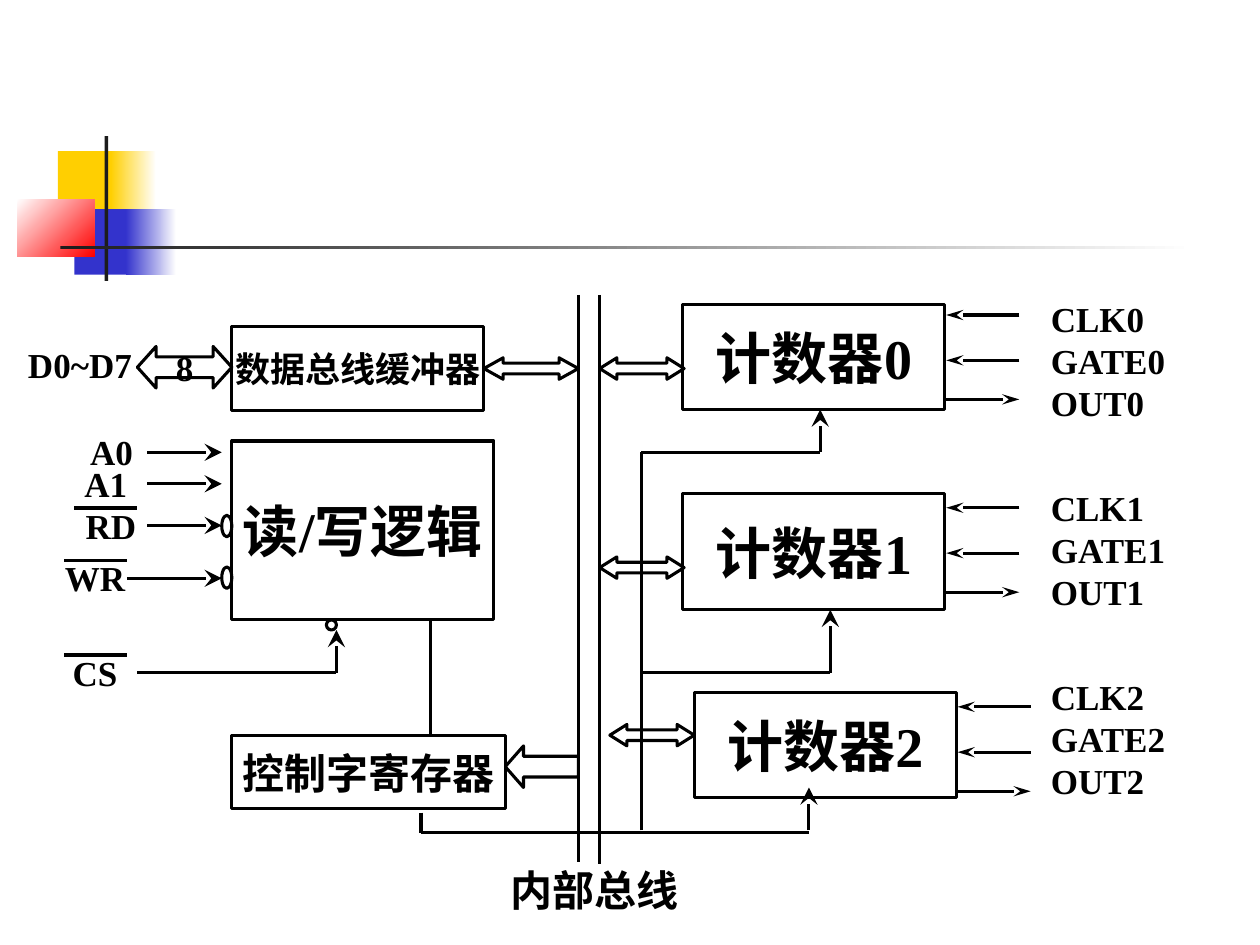
from typing import NamedTuple

import lxml.etree
import pptx
import pptx.dml.color
import pptx.enum.shapes
import pptx.enum.text
import pptx.oxml.ns
import pptx.util

Inches = pptx.util.Inches
Pt = pptx.util.Pt
MSO_SHAPE = pptx.enum.shapes.MSO_SHAPE
PP_ALIGN = pptx.enum.text.PP_ALIGN
qn = pptx.oxml.ns.qn

FONT = "Times New Roman"
INK = "000000"
LINE = 1.75


class Deco(NamedTuple):
    left: float
    top: float
    width: float
    height: float
    colors: tuple[str, ...]
    angle: float = 0


class Block(NamedTuple):
    left: float
    top: float
    width: float
    height: float
    text: str
    size: float


class Arrow(NamedTuple):
    left: float
    top: float
    width: float
    height: float
    head: float
    kind: MSO_SHAPE = MSO_SHAPE.LEFT_RIGHT_ARROW
    text: str = ""


class Label(NamedTuple):
    left: float
    top: float
    width: float
    text: str
    size: float = 20
    align: PP_ALIGN = PP_ALIGN.CENTER


class Wire(NamedTuple):
    x1: float
    y1: float
    x2: float
    y2: float
    tip: str = ""  # width of the arrowhead at the end point
    weight: float = LINE


class Counter(NamedTuple):
    left: float
    top: float
    height: float
    label_top: float
    pins: tuple[float, float, float]


def rgb(color: str) -> pptx.dml.color.RGBColor:
    return pptx.dml.color.RGBColor.from_string(color)


def add_deco(s, d: Deco) -> None:
    sp = s.shapes.add_shape(MSO_SHAPE.RECTANGLE, *map(Inches, d[:4]))
    sp.shadow.inherit = False
    sp.line.fill.background()
    if len(d.colors) == 1:
        sp.fill.solid()
        sp.fill.fore_color.rgb = rgb(d.colors[0])
        return
    sp.fill.gradient()
    sp.fill.gradient_angle = d.angle
    for stop, color in zip(sp.fill.gradient_stops, d.colors):
        stop.color.rgb = rgb(color)


def write(sp, text: str, size: float, align: PP_ALIGN) -> None:
    tf = sp.text_frame
    tf.margin_left = tf.margin_right = tf.margin_top = tf.margin_bottom = 0
    p = tf.paragraphs[0]
    p.alignment = align
    r = p.add_run()
    r.text = text
    r.font.name = FONT
    r.font.size = Pt(size)
    r.font.bold = True
    r.font.color.rgb = rgb(INK)


def add_outline(s, kind: MSO_SHAPE, left: float, top: float, width: float,
                height: float, text: str = "", size: float = 20):
    sp = s.shapes.add_shape(kind, *map(Inches, (left, top, width, height)))
    sp.shadow.inherit = False
    sp.fill.background()
    sp.line.color.rgb = rgb(INK)
    sp.line.width = Pt(LINE)
    if text:
        write(sp, text, size, PP_ALIGN.CENTER)
        sp.text_frame.word_wrap = False
        sp.text_frame.vertical_anchor = pptx.enum.text.MSO_ANCHOR.MIDDLE
    return sp


def add_block(s, b: Block) -> None:
    add_outline(s, MSO_SHAPE.RECTANGLE, *b)


def add_arrow(s, a: Arrow) -> None:
    sp = add_outline(s, a.kind, a.left, a.top, a.width, a.height, a.text)
    sp.adjustments[0] = 0.5
    sp.adjustments[1] = a.head


def add_label(s, lb: Label) -> None:
    height = lb.size / 60
    sp = s.shapes.add_textbox(*map(Inches, (lb.left, lb.top, lb.width, height)))
    write(sp, lb.text, lb.size, lb.align)
    sp.text_frame.word_wrap = True
    sp.text_frame.auto_size = pptx.enum.text.MSO_AUTO_SIZE.SHAPE_TO_FIT_TEXT


def add_wire(s, w: Wire) -> None:
    cn = s.shapes.add_connector(pptx.enum.shapes.MSO_CONNECTOR.STRAIGHT,
                                *map(Inches, w[:4]))
    cn.line.color.rgb = rgb(INK)
    cn.line.width = Pt(w.weight)
    if w.tip:
        lxml.etree.SubElement(cn.line._get_or_add_ln(), qn("a:tailEnd"),
                              type="stealth", w=w.tip, len="lg")
    lxml.etree.SubElement(cn._element.spPr, qn("a:effectLst"))


def add_counter(s, number: int, c: Counter) -> None:
    width = 2.08
    add_block(s, Block(c.left, c.top, width, c.height, f"计数器{number}", 32))
    near, far = c.left + width + 0.01, c.left + width + 0.59
    for i, (name, y) in enumerate(zip(("CLK", "GATE", "OUT"), c.pins)):
        add_label(s, Label(8.34, c.label_top + i * 0.335, 1.17,
                           f"{name}{number}", align=PP_ALIGN.LEFT))
        start, end = (near, far) if name == "OUT" else (far, near)
        add_wire(s, Wire(start, y, end, y, "med"))


DECOS = [
    Deco(0.46, 1.2, 0.48, 0.52, ("FFCF01",)),
    Deco(0.88, 1.2, 0.36, 0.52, ("FFCF01", "FFFFFF")),
    Deco(0.59, 1.66, 0.46, 0.52, ("3333CC",)),
    Deco(1, 1.66, 0.4, 0.52, ("3333CC", "FFFFFF")),
    Deco(0.14, 1.58, 0.61, 0.46, ("FFFFFF", "FF0000"), 315),
    Deco(0.83, 1.08, 0.03, 1.15, ("1C1C1C",)),
    Deco(0.48, 1.95, 9, 0.03, ("1C1C1C", "FFFFFF")),
]
BLOCKS = [
    Block(1.84, 2.59, 2, 0.67, "数据总线缓冲器", 20),
    Block(1.84, 3.5, 2.08, 1.42, "读/写逻辑", 32),
    Block(1.84, 5.84, 2.17, 0.58, "控制字寄存器", 24),
]
ARROWS = [
    Arrow(1.09, 2.75, 0.75, 0.33, 0.45, text="8"),
    Arrow(3.84, 2.84, 0.75, 0.17, 0.9),
    Arrow(4.01, 5.92, 0.58, 0.33, 0.44, MSO_SHAPE.LEFT_ARROW),
    Arrow(4.76, 2.84, 0.67, 0.17, 0.8),
    Arrow(4.76, 4.42, 0.67, 0.17, 0.8),
    Arrow(4.84, 5.75, 0.67, 0.17, 0.8),
]
LABELS = [
    Label(0.22, 2.73, 0.83, "D0~D7"),
    Label(0.51, 3.42, 0.75, "A0"),
    Label(0.59, 3.67, 0.5, "A1"),
    Label(0.59, 4, 0.58, "RD"),
    Label(0.34, 4.42, 0.83, "WR"),
    Label(0.34, 5.17, 0.83, "CS"),
    Label(4.01, 6.86, 1.42, "内部总线", 24),
]
WIRES = [
    # Internal bus
    Wire(4.59, 2.34, 4.59, 6.84), Wire(4.76, 2.34, 4.76, 6.86),
    # Control word to the counters
    Wire(3.42, 4.92, 3.42, 5.84), Wire(3.34, 6.45, 3.34, 6.61, weight=2),
    Wire(3.34, 6.61, 6.42, 6.61), Wire(6.42, 6.59, 6.42, 6.25, "lg"),
    Wire(5.09, 6.59, 5.09, 3.59),
    Wire(5.09, 3.59, 6.51, 3.59), Wire(6.51, 3.59, 6.51, 3.25, "lg"),
    Wire(5.09, 5.34, 6.59, 5.34), Wire(6.59, 5.34, 6.59, 4.84, "lg"),
    # Read/write inputs
    Wire(1.17, 3.59, 1.76, 3.59, "lg"), Wire(1.17, 3.84, 1.76, 3.84, "lg"),
    Wire(1.17, 4.17, 1.76, 4.17, "lg"), Wire(1.01, 4.59, 1.76, 4.59, "lg"),
    Wire(1.09, 5.34, 2.67, 5.34), Wire(2.67, 5.34, 2.67, 5, "lg"),
]
# Bars over the active-low names, and the inversion circles
OVERBARS = [(0.59, 4.03), (0.51, 4.45), (0.51, 5.2)]
CIRCLES = [(1.76, 4.09, 0.08, 0.17), (1.76, 4.5, 0.08, 0.17), (2.59, 4.92, 0.08, 0.08)]
COUNTERS = [
    Counter(5.42, 2.42, 0.83, 2.36, (2.5, 2.86, 3.17)),
    Counter(5.42, 3.92, 0.92, 3.86, (4.03, 4.39, 4.7)),
    Counter(5.51, 5.5, 0.83, 5.36, (5.61, 5.97, 6.28)),
]


def main() -> None:
    prs = pptx.Presentation()
    prs.slide_width, prs.slide_height = Inches(10), Inches(7.5)
    s = prs.slides.add_slide(prs.slide_layouts[6])
    for draw, items in ((add_deco, DECOS), (add_block, BLOCKS), (add_arrow, ARROWS),
                        (add_label, LABELS), (add_wire, WIRES)):
        for item in items:
            draw(s, item)
    for x, y in OVERBARS:
        add_wire(s, Wire(x, y, x + 0.5, y, weight=2))
    for box in CIRCLES:
        add_outline(s, MSO_SHAPE.OVAL, *box)
    for number, counter in enumerate(COUNTERS):
        add_counter(s, number, counter)
    prs.save("out.pptx")


if __name__ == "__main__":
    main()
